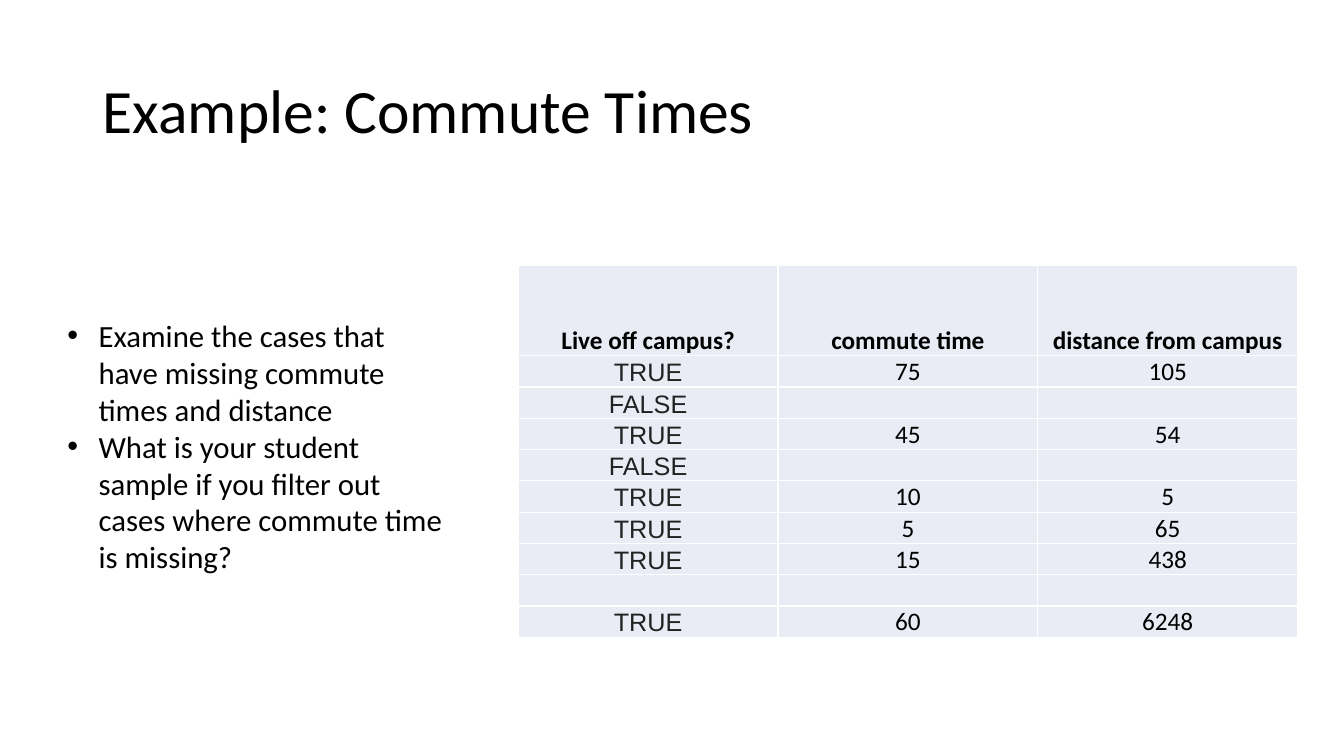
from lxml.etree import SubElement
from pptx import Presentation
from pptx.dml.color import RGBColor
from pptx.enum.text import MSO_ANCHOR, PP_ALIGN
from pptx.oxml.ns import qn
from pptx.util import Inches, Pt

# Content
TITLE = "Example: Commute Times"
QUESTIONS = [
    "Examine the cases that have missing commute times and distance",
    "What is your student sample if you filter out cases where commute time is missing?",
]
HEADINGS = ("Live off campus?", "commute time", "distance from campus")
COMMUTES = [
    ("TRUE", "75", "105"),
    ("FALSE", "", ""),
    ("TRUE", "45", "54"),
    ("FALSE", "", ""),
    ("TRUE", "10", "5"),
    ("TRUE", "5", "65"),
    ("TRUE", "15", "438"),
    ("", "", ""),
    ("TRUE", "60", "6248"),
]
COLORS = {"text": "000000", "flag": "222222", "cell": "E9EBF5", "border": "FFFFFF"}

# Layout in inches
SLIDE_W, SLIDE_H = 13.33, 7.5
TITLE_BOX = (0.92, 0.4, 11.5, 1.45)
QUESTIONS_BOX = (0.57, 3.09, 3.95, 2.69)
TABLE_LEFT, TABLE_TOP, TABLE_W = 5.14, 2.63, 7.73
HEADING_H, ROW_H = 0.9, 0.31
BULLET_INDENT = 0.31


def add_run(paragraph, text, size, color="text", font="Calibri", bold=False):
    run = paragraph.add_run()
    run.text = text
    run.font.size = Pt(size)
    run.font.name = font
    run.font.bold = bold
    run.font.color.rgb = RGBColor.from_string(COLORS[color])


def add_text_frame(slide, box):
    frame = slide.shapes.add_textbox(*map(Inches, box)).text_frame
    frame.word_wrap = True
    return frame


def add_bullet(paragraph):
    props = paragraph._p.get_or_add_pPr()
    props.set("marL", str(Inches(BULLET_INDENT)))
    props.set("indent", str(-Inches(BULLET_INDENT)))
    SubElement(props, qn("a:buFont"), typeface="Arial")
    SubElement(props, qn("a:buChar"), char="•")


def style_cell(cell):
    cell.vertical_anchor = MSO_ANCHOR.BOTTOM
    cell.margin_left = cell.margin_right = cell.margin_top = Inches(0.01)
    cell.margin_bottom = 0
    props = cell._tc.get_or_add_tcPr()
    for side in ("a:lnL", "a:lnR", "a:lnT", "a:lnB"):
        line = SubElement(props, qn(side), w=str(Pt(1)))
        fill = SubElement(line, qn("a:solidFill"))
        SubElement(fill, qn("a:srgbClr"), val=COLORS["border"])
    cell.fill.solid()
    cell.fill.fore_color.rgb = RGBColor.from_string(COLORS["cell"])


def add_commute_table(slide):
    rows = [HEADINGS, *COMMUTES]
    height = HEADING_H + ROW_H * len(COMMUTES)
    table = slide.shapes.add_table(
        len(rows), len(HEADINGS),
        *map(Inches, (TABLE_LEFT, TABLE_TOP, TABLE_W, height))).table
    table.first_row = table.horz_banding = False
    for r, values in enumerate(rows):
        table.rows[r].height = Inches(ROW_H if r else HEADING_H)
        for c, value in enumerate(values):
            cell = table.cell(r, c)
            style_cell(cell)
            paragraph = cell.text_frame.paragraphs[0]
            paragraph.alignment = PP_ALIGN.CENTER
            if not value:
                paragraph.font.size = Pt(18)
            elif r and c == 0:
                add_run(paragraph, value, 18, "flag", "Arial")
            else:
                add_run(paragraph, value, 18, bold=r == 0)


def main():
    deck = Presentation()
    deck.slide_width, deck.slide_height = Inches(SLIDE_W), Inches(SLIDE_H)
    slide = deck.slides.add_slide(deck.slide_layouts[6])

    # Title
    title = add_text_frame(slide, TITLE_BOX)
    title.vertical_anchor = MSO_ANCHOR.MIDDLE
    title.paragraphs[0].line_spacing = 0.9
    add_run(title.paragraphs[0], TITLE, 44)

    # Survey answers
    add_commute_table(slide)

    # Questions
    questions = add_text_frame(slide, QUESTIONS_BOX)
    for i, question in enumerate(QUESTIONS):
        paragraph = questions.add_paragraph() if i else questions.paragraphs[0]
        add_bullet(paragraph)
        add_run(paragraph, question, 22)

    deck.save("out.pptx")


if __name__ == "__main__":
    main()
